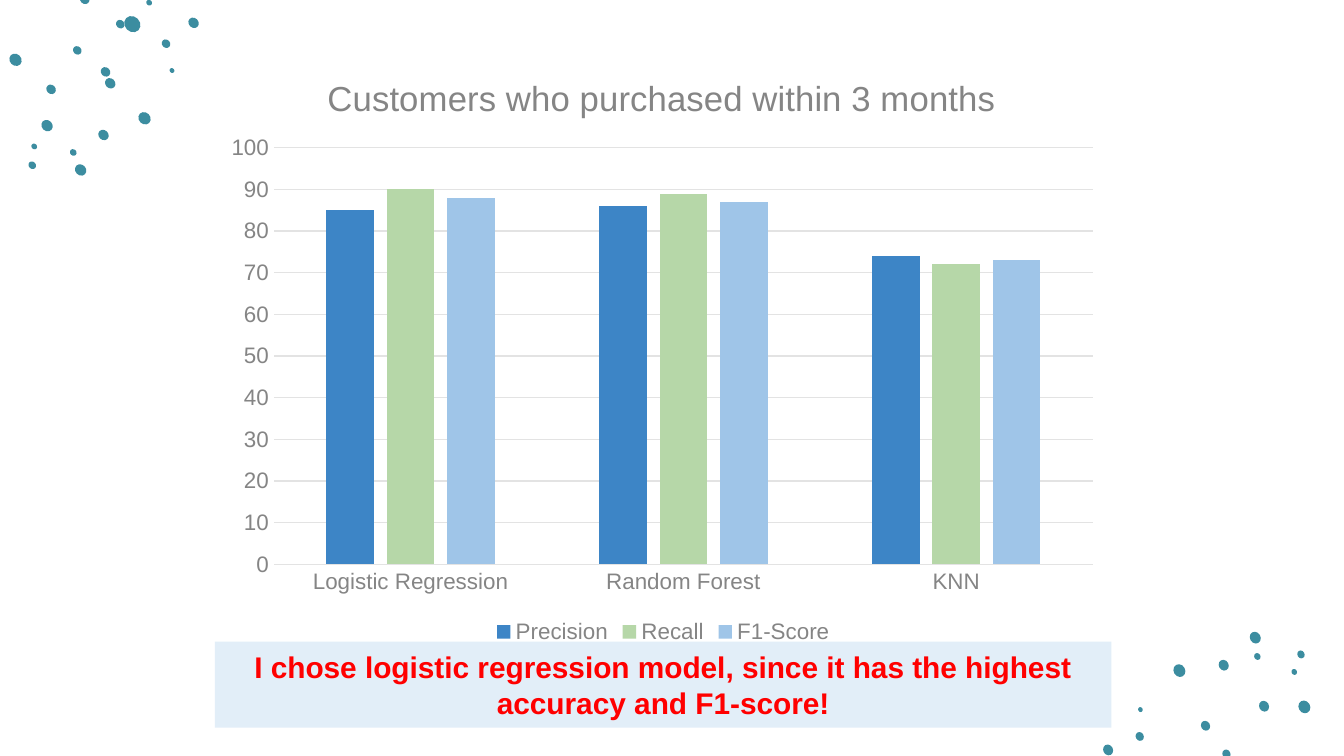
"""Builds a slide comparing three classifiers in a column chart."""
from dataclasses import dataclass

from lxml.etree import SubElement
from pptx import Presentation
from pptx.chart.data import CategoryChartData
from pptx.dml.color import RGBColor as RGB
from pptx.enum.chart import XL_CHART_TYPE as Chart, XL_LEGEND_POSITION as Legend
from pptx.enum.chart import XL_TICK_MARK as Tick
from pptx.enum.shapes import MSO_SHAPE as Shape
from pptx.enum.text import MSO_ANCHOR as Anchor, PP_ALIGN as Align
from pptx.oxml.ns import qn
from pptx.util import Inches, Pt

COLS, ROWS = 1000, 562.5
CELL = Inches(0.01)
CHART_BOX = (160, 39, 667, 444)
BANNER_BOX = (160, 477.5, 667, 64)


@dataclass(frozen=True)
class Theme:
    """Colours, font and type sizes of the slide."""
    font: str = "Arial"
    dot: str = "3C8DA0"
    grey: str = "858585"
    grid: str = "E3E3E3"
    banner: str = "E2EEF8"
    accent: str = "FF0000"
    title_pt: float = 18.6
    label_pt: float = 12
    banner_pt: float = 16


THEME = Theme()
CATEGORIES = ("Logistic Regression", "Random Forest", "KNN")
SERIES = (
    ("Precision", (85, 86, 74), "3D85C6"),
    ("Recall", (90, 89, 72), "B6D7A8"),
    ("F1-Score", (88, 87, 73), "9FC5E8"),
)
TOP_DOTS = (
    (98.5, 18, 17), (111, 2, 6), (63, -0.5, 10), (89.5, 18, 9), (57.5, 37.5, 9),
    (78.5, 53.5, 10), (82, 62, 11), (38, 66.5, 10), (77, 100.5, 11),
    (35, 93.5, 12), (54.5, 113.5, 7), (60, 126.5, 12), (25.5, 109, 6),
    (24, 123, 8), (107.5, 88, 13), (144, 17, 11), (123.5, 32.5, 9),
    (128, 52.5, 5), (11.5, 44.5, 13),
)
BOTTOM_DOTS = (
    (912.5, 561, 9), (897, 540, 10), (940.5, 525.5, 11), (910.5, 495, 11),
    (935.5, 488.5, 7), (934, 474.5, 12), (963, 500, 6), (968, 487, 8),
    (877.5, 499, 13), (824.5, 558, 11), (848, 548, 9), (848.5, 528, 5),
    (970.5, 526, 13),
)


def cells(*counts):
    """Turn counts of grid cells into lengths."""
    return [int(n * CELL) for n in counts]


def set_font(font, size, color, bold=False):
    """Give a font the theme face, a size and a colour."""
    font.name, font.size, font.bold = THEME.font, Pt(size), bold
    font.color.rgb = RGB.from_string(color)


def add_filled(s, kind, box, color):
    """Add a preset shape with a plain fill and no line."""
    sp = s.shapes.add_shape(kind, *cells(*box))
    sp.shadow.inherit = False
    sp.fill.solid()
    sp.fill.fore_color.rgb = RGB.from_string(color)
    sp.line.fill.background()
    return sp


def add_dots(s, dots, angle):
    """Scatter tilted ovals, each given by its centre and size."""
    for x, y, size in dots:
        w, h = 0.75 * size, 0.66 * size
        sp = add_filled(s, Shape.OVAL, (x - w / 2, y - h / 2, w, h), THEME.dot)
        sp.rotation = angle


def set_layout(element, inner=False, **spans):
    """Place a chart part by grid cells counted inside the chart box."""
    layout = element.find(qn("c:layout"))
    if layout is None:
        layout = SubElement(element, qn("c:layout"))
        before = element.find(qn("c:tx"))
        if before is not None:
            before.addnext(layout)
        else:
            element.insert(0, layout)
    manual = SubElement(layout, qn("c:manualLayout"))
    if inner:
        SubElement(manual, qn("c:layoutTarget")).set("val", "inner")
    for mode in ("xMode", "yMode"):
        SubElement(manual, qn(f"c:{mode}")).set("val", "edge")
    *_, width, height = CHART_BOX
    for name, span in spans.items():
        share = span / (width if name in "xw" else height)
        SubElement(manual, qn(f"c:{name}")).set("val", str(share))


def style_axis(axis):
    """Give an axis grey labels and no tick marks."""
    axis.major_tick_mark = axis.minor_tick_mark = Tick.NONE
    set_font(axis.tick_labels.font, THEME.label_pt, THEME.grey)


def style_line(line):
    """Draw a line in the thin grid style."""
    line.color.rgb = RGB.from_string(THEME.grid)
    line.width = Pt(0.75)


def add_title(chart, text):
    """Add the chart title."""
    chart.has_title = True
    tf = chart.chart_title.text_frame
    r = tf.paragraphs[0].add_run()
    r.text = text
    set_font(r.font, THEME.title_pt, THEME.grey)
    chart.chart_title.include_in_layout = False
    set_layout(chart.chart_title._element, x=79, y=12)


def add_scores(s):
    """Add the clustered columns of model scores."""
    data = CategoryChartData()
    data.categories = CATEGORIES
    for name, values, _ in SERIES:
        data.add_series(name, values)
    chart = s.shapes.add_chart(Chart.COLUMN_CLUSTERED, *cells(*CHART_BOX), data).chart
    set_font(chart.font, THEME.label_pt, THEME.grey)
    add_title(chart, "Customers who purchased within 3 months")

    plot = chart.plots[0]
    plot.gap_width, plot.overlap, plot.vary_by_categories = 219, -27, False
    for series, (_, _, color) in zip(plot.series, SERIES):
        series.format.fill.solid()
        series.format.fill.fore_color.rgb = RGB.from_string(color)
    set_layout(chart._chartSpace.chart.plotArea, inner=True, x=44, y=71, w=609, h=310)

    cat, val = chart.category_axis, chart.value_axis
    style_axis(cat)
    style_axis(val)
    style_line(cat.format.line)
    style_line(val.major_gridlines.format.line)
    val.format.line.fill.background()
    val.minimum_scale, val.maximum_scale, val.major_unit = 0, 100, 10

    chart.has_legend = True
    chart.legend.position = Legend.BOTTOM
    chart.legend.include_in_layout = False
    set_font(chart.legend.font, THEME.label_pt, THEME.grey)


def add_banner(s, text):
    """Add the tinted box with the conclusion."""
    sp = add_filled(s, Shape.RECTANGLE, BANNER_BOX, THEME.banner)
    tf = sp.text_frame
    tf.word_wrap = True
    tf.vertical_anchor = Anchor.MIDDLE
    p = tf.paragraphs[0]
    p.alignment = Align.CENTER
    r = p.add_run()
    r.text = text
    set_font(r.font, THEME.banner_pt, THEME.accent, bold=True)


def main():
    """Build and save the slide."""
    prs = Presentation()
    prs.slide_width, prs.slide_height = cells(COLS, ROWS)
    s = prs.slides.add_slide(prs.slide_layouts[6])
    add_dots(s, TOP_DOTS, 45)
    add_dots(s, BOTTOM_DOTS, 60.3)
    add_scores(s)
    add_banner(s, "I chose logistic regression model, since it has the highest accuracy and F1-score!")
    prs.save("out.pptx")


if __name__ == "__main__":
    main()
